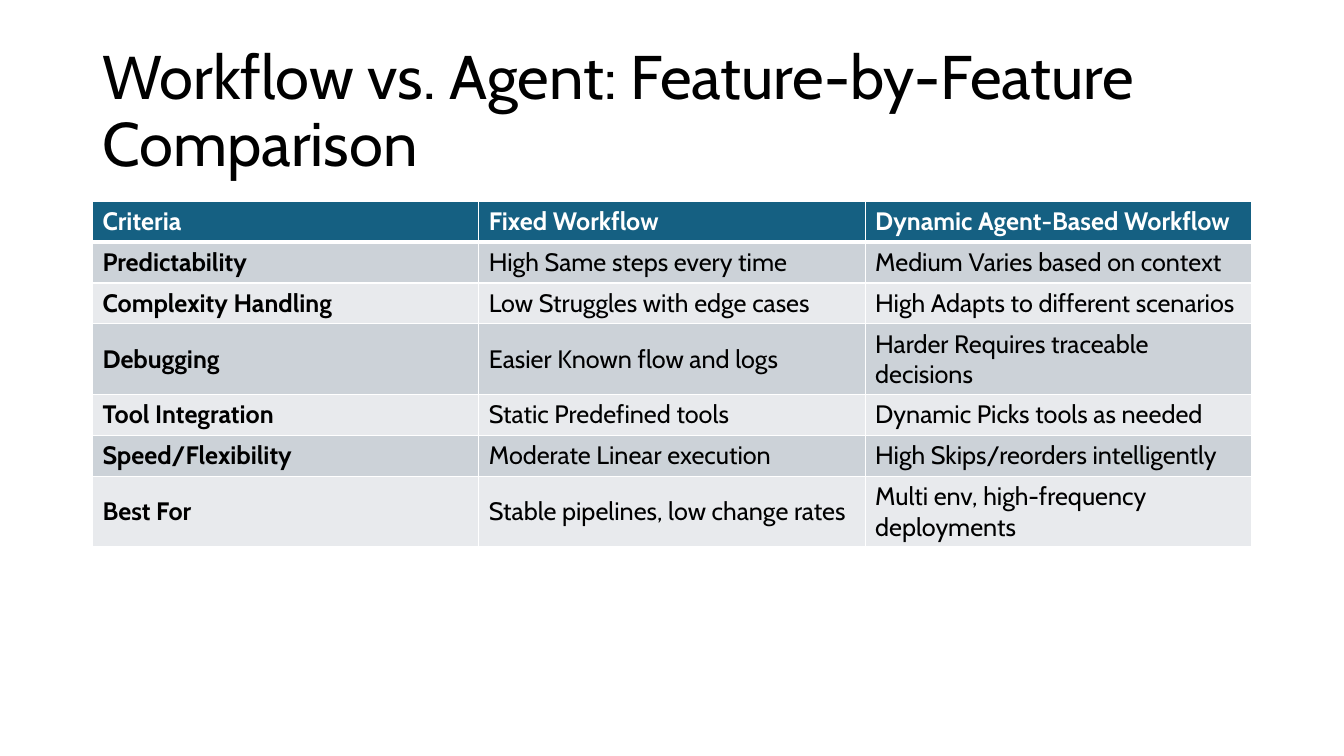
from lxml import etree
from pptx import Presentation
from pptx.dml.color import RGBColor
from pptx.enum.text import MSO_ANCHOR
from pptx.oxml.ns import qn
from pptx.util import Cm, Pt

MIDDLE = MSO_ANCHOR.MIDDLE
FONT = "Cabin"
WHITE, BLACK, HEADER = "FFFFFF", "000000", "156082"
BANDS = ("CCD2D8", "E8EAED")
TITLE = "Workflow vs. Agent: Feature-by-Feature Comparison"
ROWS = [
    ("Criteria", "Fixed Workflow", "Dynamic Agent-Based Workflow"),
    ("Predictability", "High Same steps every time", "Medium Varies based on context"),
    ("Complexity Handling", "Low Struggles with edge cases", "High Adapts to different scenarios"),
    ("Debugging", "Easier Known flow and logs", "Harder Requires traceable decisions"),
    ("Tool Integration", "Static Predefined tools", "Dynamic Picks tools as needed"),
    ("Speed/Flexibility", "Moderate Linear execution", "High Skips/reorders intelligently"),
    ("Best For", "Stable pipelines, low change rates", "Multi env, high-frequency deployments"),
]
LEFT, WIDTH = 2.33, 29.21
TITLE_TOP, TITLE_HEIGHT = 1.01, 3.68
TABLE_TOP, ROW_HEIGHT = 5.07, 1.03
THIN, THICK = 1, 3


def color(code):
    """Turn a hex string into a colour."""
    return RGBColor.from_string(code)


def add_text(frame, text, size, code, bold=False):
    """Write one run into the first paragraph and return the paragraph."""
    frame.word_wrap = True
    para = frame.paragraphs[0]
    span = para.add_run()
    span.text = text
    span.font.name = FONT
    span.font.size = Pt(size)
    span.font.bold = bold
    span.font.color.rgb = color(code)
    return para


def add_borders(cell, top, bottom):
    """Draw white borders on the four sides of a cell."""
    properties = cell._tc.get_or_add_tcPr()
    for side, width in (("L", THIN), ("R", THIN), ("T", top), ("B", bottom)):
        line = etree.SubElement(properties, qn(f"a:ln{side}"), w=str(Pt(width)))
        fill = etree.SubElement(line, qn("a:solidFill"))
        etree.SubElement(fill, qn("a:srgbClr"), val=WHITE)


def add_title(page):
    """Place the slide title."""
    box = page.shapes.add_textbox(Cm(LEFT), Cm(TITLE_TOP), Cm(WIDTH), Cm(TITLE_HEIGHT))
    box.text_frame.vertical_anchor = MIDDLE
    add_text(box.text_frame, TITLE, 44, BLACK).line_spacing = 0.9


def add_comparison(page):
    """Build the banded comparison table."""
    columns = len(ROWS[0])
    table = page.shapes.add_table(
        len(ROWS), columns, Cm(LEFT), Cm(TABLE_TOP), Cm(WIDTH), Cm(ROW_HEIGHT * len(ROWS))
    ).table
    for column in table.columns:
        column.width = Cm(WIDTH / columns)
    for r, texts in enumerate(ROWS):
        table.rows[r].height = Cm(ROW_HEIGHT)
        header = r == 0
        for c, text in enumerate(texts):
            cell = table.cell(r, c)
            add_borders(cell, THICK if r == 1 else THIN, THICK if header else THIN)
            cell.fill.solid()
            cell.fill.fore_color.rgb = color(HEADER if header else BANDS[(r - 1) % 2])
            cell.vertical_anchor = MIDDLE
            add_text(cell.text_frame, text, 18, WHITE if header else BLACK, header or c == 0)


def main():
    """Create the deck and save it."""
    deck = Presentation()
    deck.slide_width, deck.slide_height = Cm(33.87), Cm(19.05)
    page = deck.slides.add_slide(deck.slide_layouts[6])
    add_title(page)
    add_comparison(page)
    deck.save("out.pptx")


if __name__ == "__main__":
    main()
